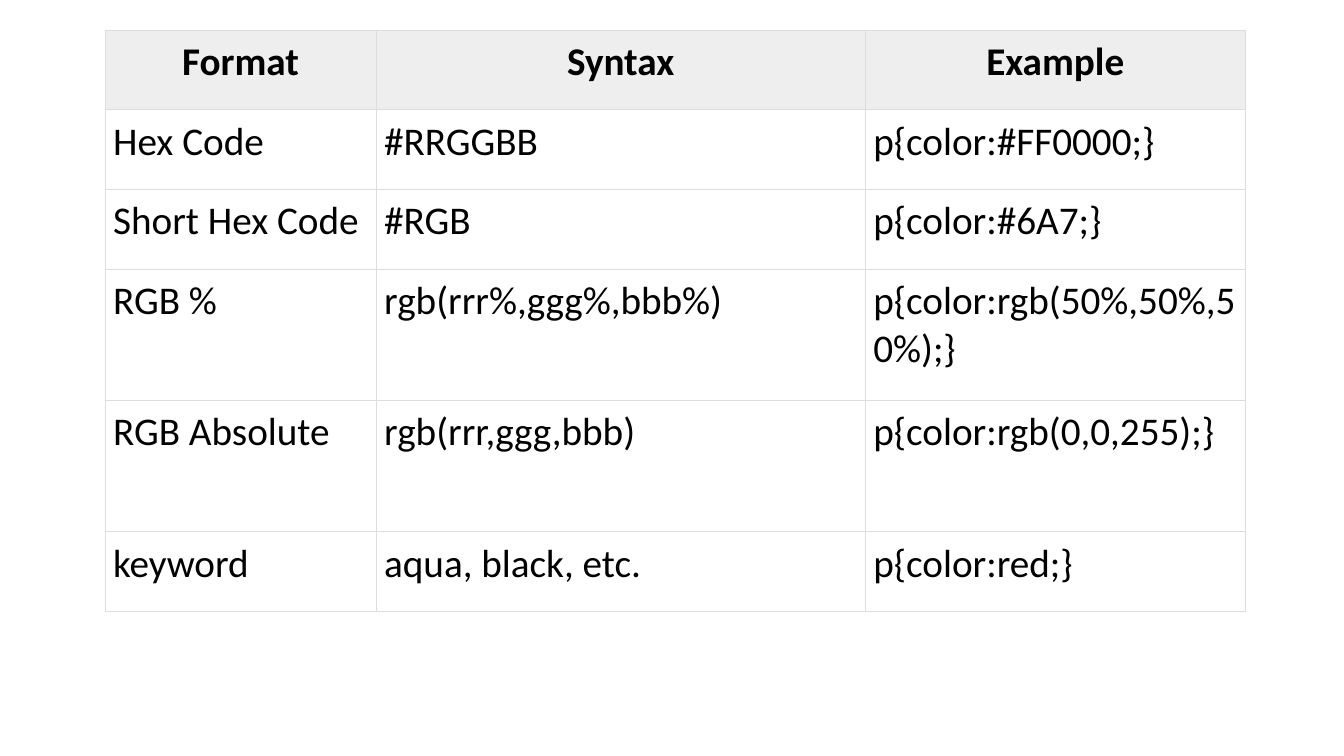
import pptx
import pptx.dml.color
import pptx.enum.text
import pptx.oxml
import pptx.oxml.ns
import pptx.util

Pt = pptx.util.Pt
ALIGN = pptx.enum.text.PP_ALIGN
COLORS = {"text": "000000", "head": "EEEEEE", "line": "DDDDDD"}

# Table content
ROWS = [
    ("Format", "Syntax", "Example"),
    ("Hex Code", "#RRGGBB", "p{color:#FF0000;}"),
    ("Short Hex Code", "#RGB", "p{color:#6A7;}"),
    ("RGB %", "rgb(rrr%,ggg%,bbb%)", "p{color:rgb(50%,50%,50%);}"),
    ("RGB Absolute", "rgb(rrr,ggg,bbb)", "p{color:rgb(0,0,255);}"),
    ("keyword", "aqua, black, etc.", "p{color:red;}"),
]
LOW, TALL = 56.9, 93.8
HEIGHTS = [LOW, LOW, LOW, TALL, TALL, LOW]
WIDTHS = [193.6, 349.4, 271.4]


class Painter:
    """Holds the style and the current slide."""

    def __init__(self, slide, font="Calibri", size=28, inset=5.76, rule=0.75):
        self.slide = slide
        self.font = font
        self.size = size
        self.inset = inset
        self.rule = rule

    def color(self, name):
        return pptx.dml.color.RGBColor.from_string(COLORS[name])

    def border(self, cell):
        props = cell._tc.get_or_add_tcPr()
        for side in ("lnL", "lnR", "lnT", "lnB"):
            props.append(pptx.oxml.parse_xml(
                f'<a:{side} {pptx.oxml.ns.nsdecls("a")} w="{Pt(self.rule)}">'
                f'<a:solidFill><a:srgbClr val="{COLORS["line"]}"/></a:solidFill>'
                f'</a:{side}>'))

    def cell(self, cell, text, head):
        cell.margin_left = cell.margin_right = Pt(self.inset)
        cell.margin_top = cell.margin_bottom = Pt(self.inset)
        cell.vertical_anchor = pptx.enum.text.MSO_ANCHOR.TOP
        self.border(cell)
        if head:
            cell.fill.solid()
            cell.fill.fore_color.rgb = self.color("head")
        else:
            cell.fill.background()
        cell.text = text
        para = cell.text_frame.paragraphs[0]
        para.alignment = ALIGN.CENTER if head else ALIGN.LEFT
        para.font.name = self.font
        para.font.size = Pt(self.size)
        para.font.bold = head
        para.font.color.rgb = self.color("text")

    def table(self, left, top, widths, heights, rows):
        frame = self.slide.shapes.add_table(
            len(rows), len(widths), Pt(left), Pt(top),
            Pt(sum(widths)), Pt(sum(heights)))
        table = frame.table
        table.horz_banding = False
        for col, width in zip(table.columns, widths):
            col.width = Pt(width)
        for row, height in zip(table.rows, heights):
            row.height = Pt(height)
        for r, texts in enumerate(rows):
            for c, text in enumerate(texts):
                self.cell(table.cell(r, c), text, r == 0)


def main():
    # Slide
    deck = pptx.Presentation()
    deck.slide_width, deck.slide_height = Pt(960), Pt(540)
    slide = deck.slides.add_slide(deck.slide_layouts[6])

    # Table of colour formats
    Painter(slide).table(75.1, 21.6, WIDTHS, HEIGHTS, ROWS)
    deck.save("out.pptx")


if __name__ == "__main__":
    main()
